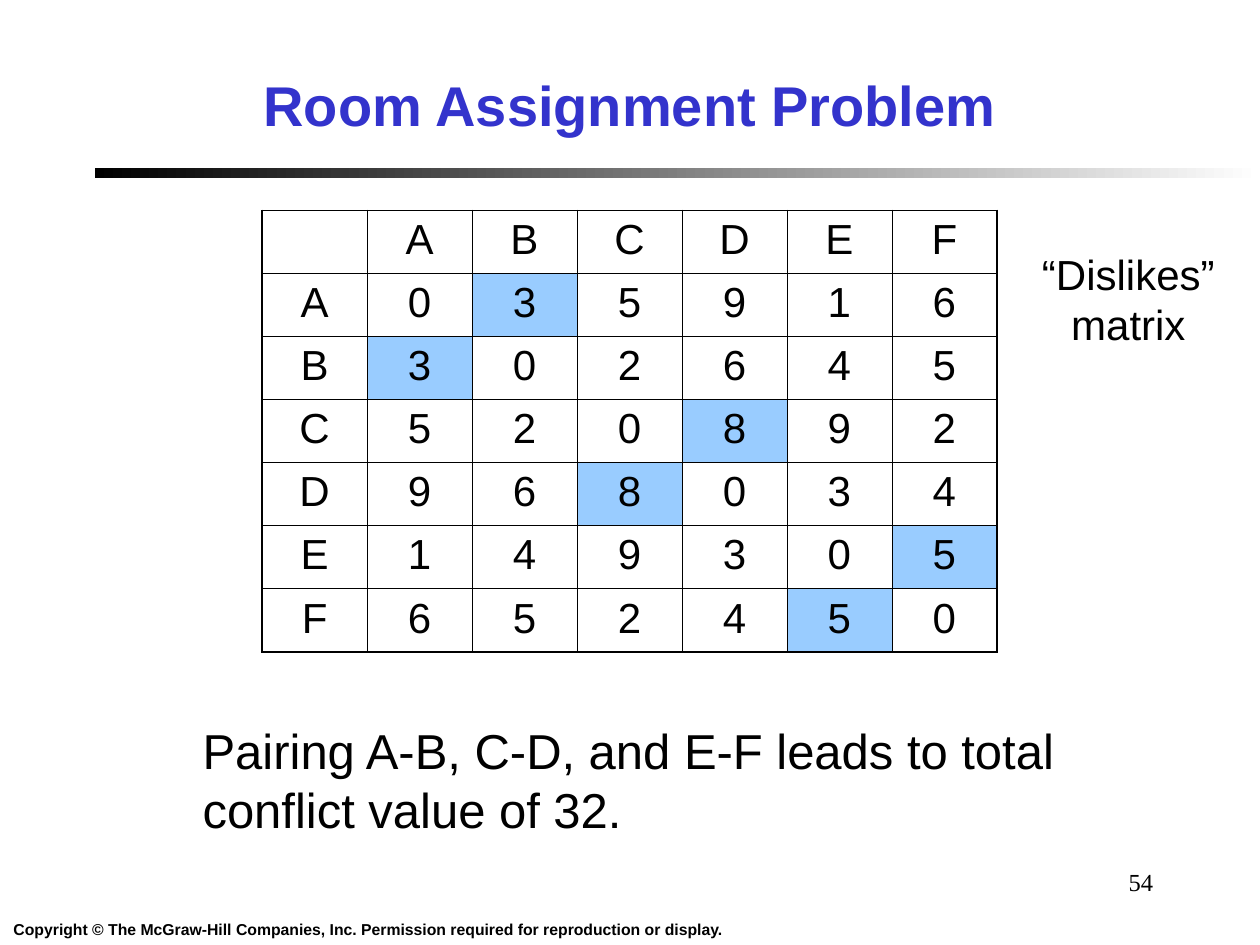
"""Build the Room Assignment Problem slide with its dislikes matrix."""
from lxml.etree import SubElement
from pptx import Presentation
from pptx.dml.color import RGBColor
from pptx.enum.shapes import MSO_SHAPE
from pptx.enum.text import MSO_ANCHOR, PP_ALIGN as AL
from pptx.oxml.ns import qn
from pptx.util import Inches, Pt

BLACK = RGBColor(0x00, 0x00, 0x00)
WHITE = RGBColor(0xFF, 0xFF, 0xFF)
TITLE_BLUE = RGBColor(0x33, 0x33, 0xCC)
PAIR_BLUE = RGBColor(0x99, 0xCC, 0xFF)

TITLE = "Room Assignment Problem"
COPYRIGHT = ("Copyright © The McGraw-Hill Companies, Inc. "
             "Permission required for reproduction or display.")
LABEL = "“Dislikes”\vmatrix"
CONCLUSION = "Pairing A-B, C-D, and E-F leads to total\nconflict value of 32."
PAGE = "54"
STUDENTS = "ABCDEF"
PAIRS = ("AB", "CD", "EF")
DISLIKES = [
    (0, 3, 5, 9, 1, 6),
    (3, 0, 2, 6, 4, 5),
    (5, 2, 0, 8, 9, 2),
    (9, 6, 8, 0, 3, 4),
    (1, 4, 9, 3, 0, 5),
    (6, 5, 2, 4, 5, 0),
]

TABLE_LEFT, TABLE_TOP = 2.08, 1.67
COL_W, ROW_H = 5 / 6, 0.5
INNER, OUTER = 0.45, 1.08


def style(tf, size, align=AL.LEFT, color=BLACK, bold=False, font="Arial"):
    for p in tf.paragraphs:
        p.alignment = align
        for r in p.runs:
            r.font.name, r.font.size, r.font.bold = font, Pt(size), bold
            r.font.color.rgb = color


def add_text(slide, box, text, size, wrap=True, anchor=MSO_ANCHOR.TOP, **look):
    tf = slide.shapes.add_textbox(*map(Inches, box)).text_frame
    tf.word_wrap, tf.vertical_anchor = wrap, anchor
    tf.text = text
    style(tf, size, **look)


def set_borders(cell, widths):
    tcPr = cell._tc.get_or_add_tcPr()
    for side, width in zip("LRTB", widths):
        ln = SubElement(tcPr, qn(f"a:ln{side}"), w=str(Pt(width)))
        fill = SubElement(ln, qn("a:solidFill"))
        SubElement(fill, qn("a:srgbClr"), val=str(BLACK))


def add_rule(slide):
    sp = slide.shapes.add_shape(MSO_SHAPE.RECTANGLE, *map(Inches, (0.75, 1.33, 9.25, 0.08)))
    sp.shadow.inherit = False
    sp.line.fill.background()
    sp.fill.gradient()
    sp.fill.gradient_angle = 0
    for stop, color in zip(sp.fill.gradient_stops, (BLACK, WHITE)):
        stop.color.rgb = color


def add_matrix(slide):
    rows = [("", *STUDENTS)] + [(s, *row) for s, row in zip(STUDENTS, DISLIKES)]
    n = len(rows)
    last = n - 1
    table = slide.shapes.add_table(n, n, Inches(TABLE_LEFT), Inches(TABLE_TOP),
                                   Inches(n * COL_W), Inches(n * ROW_H)).table
    for col in table.columns:
        col.width = Inches(COL_W)
    for i, row in enumerate(rows):
        table.rows[i].height = Inches(ROW_H)
        for j, value in enumerate(row):
            cell = table.cell(i, j)
            cell.text = str(value)
            style(cell.text_frame, 24, AL.CENTER)
            edges = (j == 0, j == last, i == 0, i == last)
            set_borders(cell, [OUTER if edge else INNER for edge in edges])
            if i and j and "".join(sorted(row[0] + rows[0][j])) in PAIRS:
                cell.fill.solid()
                cell.fill.fore_color.rgb = PAIR_BLUE
            else:
                cell.fill.background()


def main():
    prs = Presentation()
    prs.slide_width, prs.slide_height = Inches(10), Inches(7.5)
    slide = prs.slides.add_slide(prs.slide_layouts[6])
    add_rule(slide)
    add_text(slide, (0, 7.25, 5.84, 0.25), COPYRIGHT, 9, wrap=False,
             align=AL.CENTER, bold=True)
    add_text(slide, (7.17, 6.83, 2.08, 0.5), PAGE, 14, align=AL.RIGHT,
             font="Times New Roman")
    add_text(slide, (0.25, 0.33, 9.5, 1), TITLE, 32, anchor=MSO_ANCHOR.MIDDLE,
             align=AL.CENTER, color=TITLE_BLUE, bold=True)
    add_matrix(slide)
    add_text(slide, (8.17, 1.92, 1.57, 0.9), LABEL, 24, wrap=False, align=AL.CENTER)
    add_text(slide, (1.51, 5.67, 6.97, 1.04), CONCLUSION, 28, wrap=False)
    prs.save("out.pptx")


if __name__ == "__main__":
    main()
